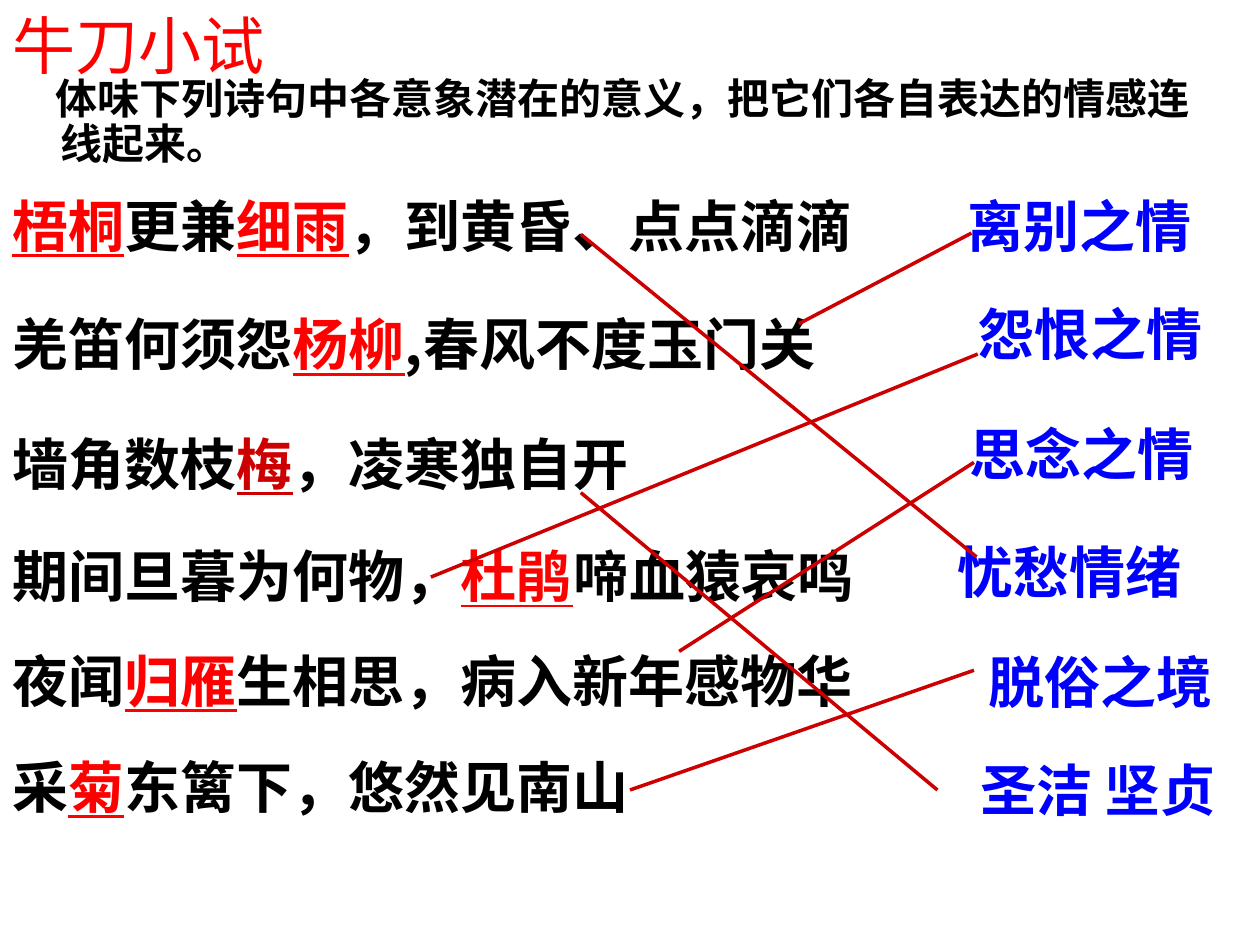
from dataclasses import dataclass

from lxml.etree import SubElement
from pptx import Presentation
from pptx.dml.color import RGBColor
from pptx.enum.shapes import MSO_CONNECTOR
from pptx.enum.text import MSO_ANCHOR, MSO_AUTO_SIZE, PP_ALIGN
from pptx.oxml.ns import qn
from pptx.util import Inches, Pt


@dataclass(frozen=True)
class Theme:
    ink: str = "000000"
    keyword: str = "FF0000"
    link: str = "CC0000"
    feeling: str = "0000FF"
    title_size: float = 36
    verse_size: float = 32
    task_size: float = 24
    link_width: float = 2
    sans: str = "Arial"
    cjk: str = "Noto Sans CJK SC"
    serif: str = "Times New Roman"


THEME = Theme()


@dataclass(frozen=True)
class Verse:
    """A line of poetry, split around its underlined image words."""
    phrases: tuple[str, ...]
    top: float
    width: float
    font: str
    keyword_color: str = THEME.keyword


@dataclass(frozen=True)
class Feeling:
    text: str
    left: float
    top: float
    width: float
    font: str


@dataclass(frozen=True)
class Link:
    start: tuple[float, float]
    end: tuple[float, float]


ROW_HEIGHT = 0.64

VERSES = (
    Verse(("梧桐", "更兼", "细雨", "，到黄昏、点点滴滴"), 1.47, 8.86, THEME.sans),
    Verse(("羌笛何须怨", "杨柳", ",春风不度玉门关"), 2.41, 7.44, THEME.cjk),
    Verse(("墙角数枝", "梅", "，凌寒独自开"), 3.36, 6.18, THEME.cjk, THEME.link),
    Verse(("期间旦暮为何物，", "杜鹃", "啼血猿哀鸣"), 4.25, 7.05, THEME.cjk),
    Verse(("夜闻", "归雁", "生相思，病入新年感物华"), 5.08, 7.13, THEME.serif),
    Verse(("采", "菊", "东篱下，悠然见南山"), 5.92, 5.55, THEME.serif),
)
KEYWORDS = {"梧桐", "细雨", "杨柳", "梅", "杜鹃", "归雁", "菊"}

FEELINGS = (
    Feeling("离别之情", 7.58, 1.47, 2.42, THEME.cjk),
    Feeling("怨恨之情", 7.67, 2.33, 2.33, THEME.cjk),
    Feeling("思念之情", 7.6, 3.28, 2, THEME.serif),
    Feeling("忧愁情绪", 7.5, 4.22, 2.5, THEME.serif),
    Feeling("脱俗之境", 7.75, 5.09, 2.25, THEME.serif),
    Feeling("圣洁 坚贞", 7.68, 5.95, 2.85, THEME.cjk),
)

LINKS = (
    Link((4.61, 1.86), (7.75, 4.42)),
    Link((6.34, 2.57), (7.71, 1.85)),
    Link((4.61, 3.91), (7.44, 6.27)),
    Link((3.42, 4.58), (7.76, 2.81)),
    Link((5.39, 5.17), (7.73, 3.67)),
    Link((5, 6.27), (7.73, 5.32)),
)


def place(shape, left: float, top: float, width: float, height: float) -> None:
    shape.left, shape.top = Inches(left), Inches(top)
    shape.width, shape.height = Inches(width), Inches(height)


def add_text(paragraph, text: str, *, size: float, color: str, font: str,
             bold: bool = True, underline: bool = False) -> None:
    run = paragraph.add_run()
    run.text = text
    run.font.size = Pt(size)
    run.font.bold = bold
    run.font.underline = underline
    run.font.color.rgb = RGBColor.from_string(color)
    run.font.name = font
    SubElement(run.font._element, qn("a:ea"), typeface=THEME.cjk)


def prepare_paragraph(shape):
    """Set up the shape's text frame and return its first paragraph."""
    frame = shape.text_frame
    frame.word_wrap = True
    frame.auto_size = MSO_AUTO_SIZE.NONE
    frame.vertical_anchor = MSO_ANCHOR.TOP
    paragraph = frame.paragraphs[0]
    paragraph.alignment = PP_ALIGN.LEFT
    paragraph.space_before = Pt(0)
    return paragraph


def add_row(slide, left: float, top: float, width: float):
    """Add a one-line text box and return its paragraph."""
    box = slide.shapes.add_textbox(0, 0, 0, 0)
    place(box, left, top, width, ROW_HEIGHT)
    paragraph = prepare_paragraph(box)
    box.text_frame.auto_size = MSO_AUTO_SIZE.SHAPE_TO_FIT_TEXT
    return paragraph


def add_verse(slide, verse: Verse) -> None:
    row = add_row(slide, 0, verse.top, verse.width)
    for phrase in verse.phrases:
        is_keyword = phrase in KEYWORDS
        add_text(row, phrase, size=THEME.verse_size, font=verse.font,
                 color=verse.keyword_color if is_keyword else THEME.ink,
                 underline=is_keyword)


def add_feeling(slide, feeling: Feeling) -> None:
    row = add_row(slide, feeling.left, feeling.top, feeling.width)
    add_text(row, feeling.text, size=THEME.verse_size, font=feeling.font,
             color=THEME.feeling)


def add_link(slide, link: Link) -> None:
    ends = [Inches(value) for value in link.start + link.end]
    connector = slide.shapes.add_connector(MSO_CONNECTOR.STRAIGHT, *ends)
    connector.line.color.rgb = RGBColor.from_string(THEME.link)
    connector.line.width = Pt(THEME.link_width)
    SubElement(connector._element.spPr, qn("a:effectLst"))


def add_heading(slide) -> None:
    title = slide.shapes.title
    place(title, 0, 0, 2.75, 0.7)
    add_text(prepare_paragraph(title), "牛刀小试", size=THEME.title_size,
             color=THEME.keyword, font=THEME.sans, bold=False)


def add_task(slide) -> None:
    task = slide.placeholders[1]
    place(task, 0, 0.25, 9.67, 1.67)
    paragraph = prepare_paragraph(task)
    task.text_frame.margin_top = Inches(0.37)
    properties = paragraph._p.get_or_add_pPr()
    properties.set("marL", str(Inches(0.38)))
    properties.set("indent", str(Inches(-0.04)))
    SubElement(properties, qn("a:buNone"))
    paragraph.line_spacing = 0.9
    add_text(paragraph, "体味下列诗句中各意象潜在的意义，把它们各自表达的情感连线起来。",
             size=THEME.task_size, color=THEME.ink, font=THEME.sans)


def main() -> None:
    presentation = Presentation()
    presentation.slide_width, presentation.slide_height = Inches(10), Inches(7.5)
    slide = presentation.slides.add_slide(presentation.slide_layouts[1])
    add_heading(slide)
    add_task(slide)
    for verse in VERSES:
        add_verse(slide, verse)
    for feeling in FEELINGS:
        add_feeling(slide, feeling)
    for link in LINKS:
        add_link(slide, link)
    presentation.save("out.pptx")


if __name__ == "__main__":
    main()
